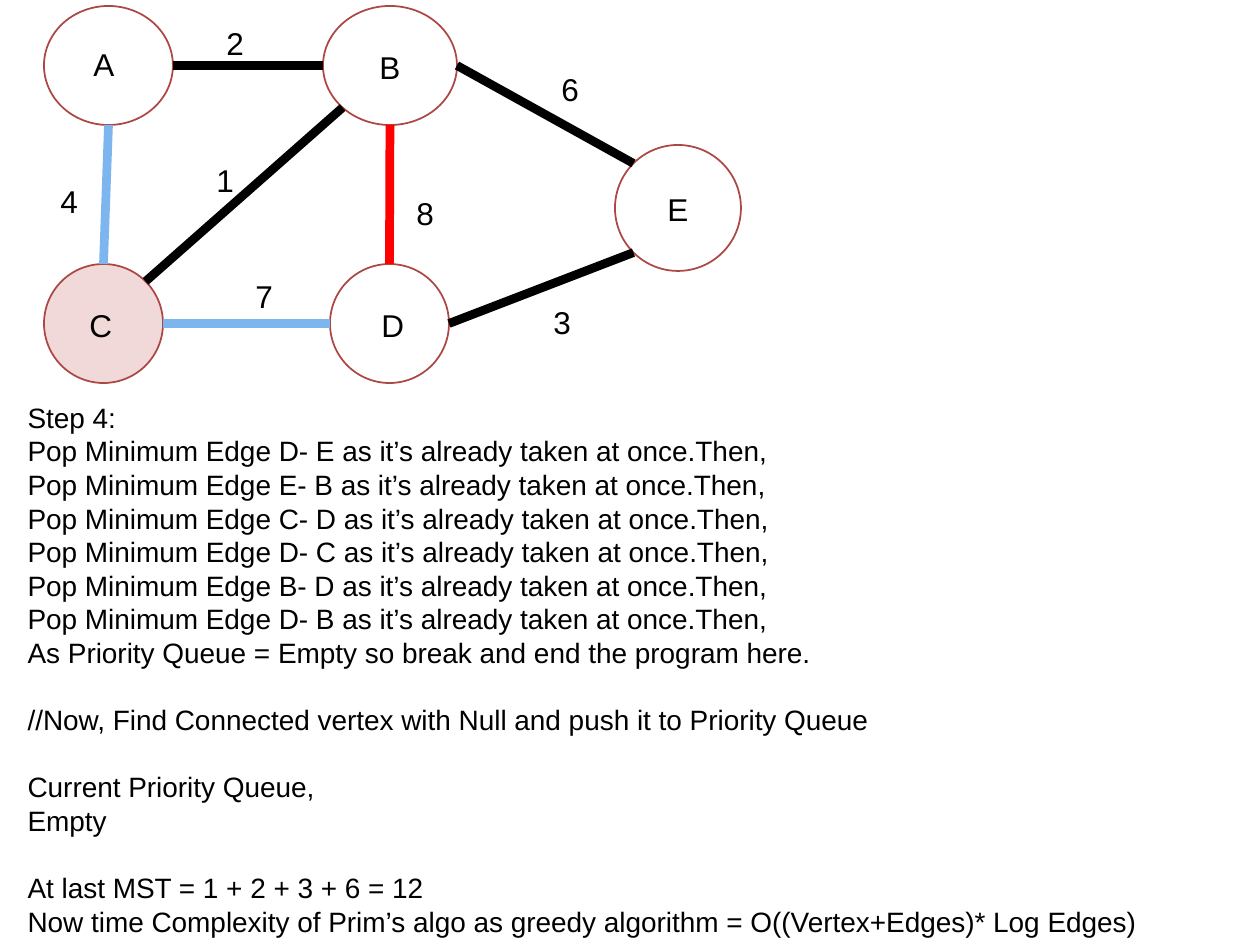
import pptx
import pptx.util
import pptx.dml.color
import pptx.enum.shapes
import pptx.enum.text
import math
from dataclasses import dataclass
from lxml import etree

SCALE = 914400 / 126  # EMU in one px
NS = "{http://schemas.openxmlformats.org/drawingml/2006/main}"


@dataclass(frozen=True)
class Theme:
    font: str = "Arial"
    ink: str = "000000"
    paper: str = "FFFFFF"
    start: str = "F0D9D8"
    ring: str = "AC4744"
    skip: str = "7DB6EF"
    last: str = "FF0000"
    label: int = 18
    body: int = 16
    lead: float = 1.2  # line height as a share of type size
    thin: int = 1
    thick: int = 5


THEME = Theme()

# Name: left, top, width, height, fill, then left, top, width of the letter
NODES = {
    "A": (44, 6, 129, 119, THEME.paper, 81, 39, 45),
    "B": (323, 6, 134, 119, THEME.paper, 367, 42, 45),
    "C": (44, 264, 119, 119, THEME.start, 77, 300, 48),
    "D": (330, 264, 119, 119, THEME.paper, 369, 300, 48),
    "E": (615, 145, 126, 126, THEME.paper, 655, 184, 45),
}

# From, site, to, site, colour, weight, then left and top of the weight.
# The sites of an oval run from 0 at the top, an eighth turn left each.
EDGES = [
    ("A", 6, "B", 2, THEME.ink, "2", 214, 18),
    ("A", 4, "C", 0, THEME.skip, "4", 48, 176),
    ("B", 4, "D", 0, THEME.last, "8", 404, 188),
    ("C", 6, "D", 2, THEME.skip, "7", 243, 271),
    ("C", 7, "B", 3, THEME.ink, "1", 204, 155),
    ("B", 6, "E", 1, THEME.ink, "6", 549, 64),
    ("D", 6, "E", 3, THEME.ink, "3", 541, 297),
]

POPS = ["D- E", "E- B", "C- D", "D- C", "B- D", "D- B"]
GROUPS = [
    ["Step 4:"]
    + [f"Pop Minimum Edge {pair} as it’s already taken at once.Then," for pair in POPS]
    + ["As Priority Queue = Empty so break and end the program here."],
    ["//Now, Find Connected vertex with Null and push it to Priority Queue"],
    ["Current Priority Queue,", "Empty"],
    ["At last MST = 1 + 2 + 3 + 6 = 12",
     "Now time Complexity of Prim’s algo as greedy algorithm = "
     "O((Vertex+Edges)* Log Edges)"],
]


def px(num):
    return pptx.util.Emu(round(num * SCALE))


def rgb(code):
    return pptx.dml.color.RGBColor.from_string(code)


def write(para, text, size=THEME.label, color=THEME.ink, gap=0):
    """Put formatted text in a paragraph, with gap points above it."""
    run = para.add_run()
    run.text = text
    run.font.name = THEME.font
    run.font.size = pptx.util.Pt(size)
    run.font.color.rgb = rgb(color)
    para.alignment = pptx.enum.text.PP_ALIGN.LEFT
    para.line_spacing = pptx.util.Pt(size * THEME.lead)
    para.space_before = pptx.util.Pt(gap)
    para.space_after = pptx.util.Pt(0)


def label(slide, text, left, top, wide):
    box = slide.shapes.add_textbox(px(left), px(top), px(wide), px(50))
    box.text_frame.word_wrap = False
    write(box.text_frame.paragraphs[0], text)


def node(slide, left, top, wide, high, fill):
    oval = slide.shapes.add_shape(
        pptx.enum.shapes.MSO_SHAPE.OVAL, px(left), px(top), px(wide), px(high))
    oval.shadow.inherit = False
    oval.fill.solid()
    oval.fill.fore_color.rgb = rgb(fill)
    oval.line.color.rgb = rgb(THEME.ring)
    oval.line.width = pptx.util.Pt(THEME.thin)
    return oval


def point(oval, site):
    """Find where a connection site lies on the rim."""
    turn = site * math.pi / 4
    x = oval.left + oval.width / 2 * (1 - math.sin(turn))
    y = oval.top + oval.height / 2 * (1 - math.cos(turn))
    return round(x), round(y)


def edge(slide, head, exit, tail, entry, color):
    line = slide.shapes.add_connector(
        pptx.enum.shapes.MSO_CONNECTOR.STRAIGHT,
        *point(head, exit), *point(tail, entry))
    line.line.color.rgb = rgb(color)
    line.line.width = pptx.util.Pt(THEME.thick)
    etree.SubElement(line.element.spPr, NS + "effectLst")
    # Join both ends to the sites of the ovals
    joint = line.element.nvCxnSpPr.cNvCxnSpPr
    for tag, oval, site in (("stCxn", head, exit), ("endCxn", tail, entry)):
        etree.SubElement(joint, NS + tag, id=str(oval.shape_id), idx=str(site))


def graph(slide, left, top):
    # Nodes
    ovals = {}
    for name, (x, y, wide, high, fill, *_) in NODES.items():
        ovals[name] = node(slide, left + x, top + y, wide, high, fill)
    # Edges
    for head, exit, tail, entry, color, *_ in EDGES:
        edge(slide, ovals[head], exit, ovals[tail], entry, color)
    # Letters and weights
    for name, (*_, x, y, wide) in NODES.items():
        label(slide, name, left + x, top + y, wide)
    for *_, weight, x, y in EDGES:
        label(slide, weight, left + x, top + y, 43)


def steps(slide, left, top, wide, high):
    body = slide.placeholders[1]
    body.left, body.top, body.width, body.height = map(px, (left, top, wide, high))
    frame = body.text_frame
    frame.word_wrap = True
    frame.auto_size = pptx.enum.text.MSO_AUTO_SIZE.NONE
    frame.vertical_anchor = pptx.enum.text.MSO_ANCHOR.TOP
    blank = THEME.body * THEME.lead
    for part, group in enumerate(GROUPS):
        for row, text in enumerate(group):
            first = part == row == 0
            para = frame.paragraphs[0] if first else frame.add_paragraph()
            write(para, text, size=THEME.body, gap=blank if part and not row else 0)
            # Plain lines: no bullet, no indent
            props = para._p.get_or_add_pPr()
            props.set("marL", "0")
            props.set("indent", "0")
            etree.SubElement(props, NS + "buNone")


def main():
    deck = pptx.Presentation()
    deck.slide_width, deck.slide_height = px(1260), px(945)
    slide = deck.slides.add_slide(deck.slide_layouts[1])
    title = slide.shapes.title.element
    title.getparent().remove(title)
    graph(slide, 0, 0)
    steps(slide, 15, 394, 1225, 583)
    deck.save("out.pptx")


if __name__ == "__main__":
    main()
